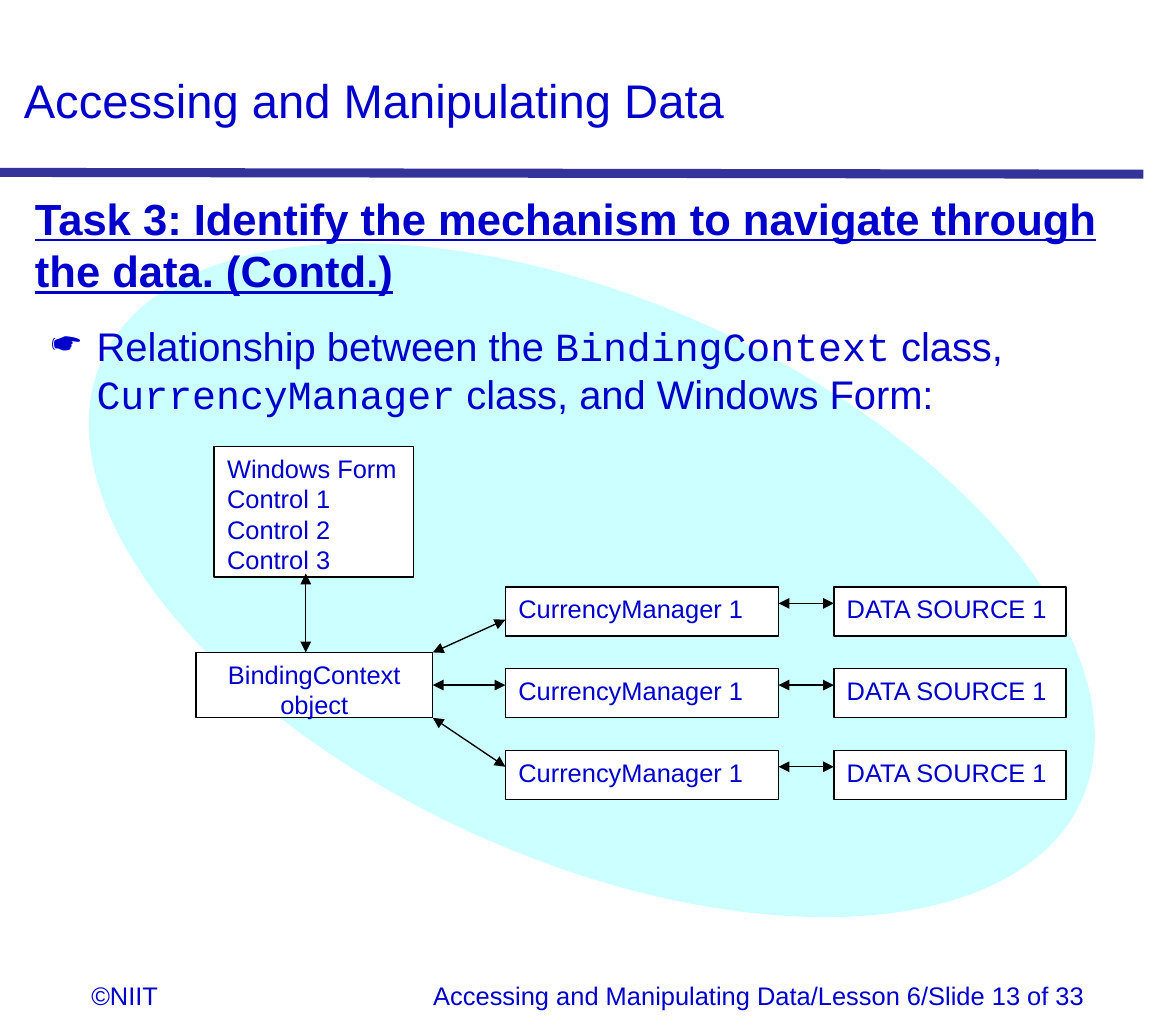
from dataclasses import dataclass

from lxml import etree
from pptx import Presentation
from pptx import util as u
from pptx.dml import color
from pptx.enum import shapes, text
from pptx.oxml import ns

INK = "0000CC"
BLACK = "000000"
LEFT = text.PP_ALIGN.LEFT
CENTER = text.PP_ALIGN.CENTER
RIGHT = text.PP_ALIGN.RIGHT


@dataclass(frozen=True)
class Frame:
    left: float
    top: float
    width: float
    height: float

    @property
    def right(self) -> float:
        return self.left + self.width

    @property
    def bottom(self) -> float:
        return self.top + self.height

    def lengths(self) -> list:
        return [u.Pt(value) for value in (self.left, self.top, self.width, self.height)]


@dataclass(frozen=True)
class Label:
    frame: Frame
    wording: str
    size: float
    align: text.PP_ALIGN = LEFT


@dataclass(frozen=True)
class Row:
    top: float
    manager_y: float
    binding_y: float


def paint(target, hex_colour: str) -> None:
    target.solid()
    target.fore_color.rgb = color.RGBColor.from_string(hex_colour)


def add_span(para, wording: str, size: float, **extra) -> None:
    span = para.add_run()
    span.text = wording
    formats = {"name": "Arial", "size": u.Pt(size)} | extra
    for name, value in formats.items():
        setattr(span.font, name, value)
    paint(span.font.fill, INK)


def prepare(frame) -> None:
    formats = {
        "word_wrap": True,
        "vertical_anchor": text.MSO_ANCHOR.TOP,
        "margin_left": u.Pt(7.2),
        "margin_right": u.Pt(7.2),
        "margin_top": u.Pt(3.6),
        "margin_bottom": u.Pt(3.6),
    }
    for name, value in formats.items():
        setattr(frame, name, value)


def add_label(page, label: Label) -> None:
    box = page.shapes.add_textbox(*label.frame.lengths())
    prepare(box.text_frame)
    para = box.text_frame.paragraphs[0]
    para.alignment = label.align
    add_span(para, label.wording, label.size)


def add_box(page, frame: Frame, lines: list[str], align: text.PP_ALIGN = LEFT):
    box = page.shapes.add_shape(shapes.MSO_SHAPE.RECTANGLE, *frame.lengths())
    box.shadow.inherit = False
    paint(box.fill, "FFFFFF")
    paint(box.line.fill, BLACK)
    box.line.width = u.Pt(0.75)
    prepare(box.text_frame)
    for index, line in enumerate(lines):
        para = box.text_frame.add_paragraph() if index else box.text_frame.paragraphs[0]
        para.alignment = align
        add_span(para, line, 14)
    return box


def add_line(page, start: tuple, end: tuple, hex_colour: str, width: float):
    points = [u.Pt(value) for value in (*start, *end)]
    line = page.shapes.add_connector(shapes.MSO_CONNECTOR.STRAIGHT, *points)
    paint(line.line.fill, hex_colour)
    line.line.width = u.Pt(width)
    etree.SubElement(line._element.spPr, ns.qn("a:effectLst"))
    return line


def add_arrow(page, start: tuple, end: tuple):
    arrow = add_line(page, start, end, BLACK, 0.75)
    outline = arrow._element.spPr.find(ns.qn("a:ln"))
    for tag in ("a:headEnd", "a:tailEnd"):
        etree.SubElement(outline, ns.qn(tag), type="triangle")
    return arrow


def add_bullet(para, mark: str) -> None:
    properties = para._p.get_or_add_pPr()
    properties.set("marL", str(u.Pt(34)))
    properties.set("indent", str(-u.Pt(25)))
    tint = etree.SubElement(properties, ns.qn("a:buClr"))
    etree.SubElement(tint, ns.qn("a:srgbClr"), val=INK)
    etree.SubElement(properties, ns.qn("a:buChar"), char=mark)


def add_background(page) -> None:
    frame = Frame(172, 23.8, 308.2, 591.8)
    ellipse = page.shapes.add_shape(shapes.MSO_SHAPE.OVAL, *frame.lengths())
    ellipse.shadow.inherit = False
    ellipse.rotation = 294.2
    paint(ellipse.fill, "CCFFFF")
    ellipse.line.fill.background()


def add_body(page) -> None:
    box = page.shapes.add_textbox(*Frame(12.2, 102.2, 624.2, 432).lengths())
    prepare(box.text_frame)
    task = "Task 3: Identify the mechanism to navigate through the data. (Contd.)"
    add_span(box.text_frame.paragraphs[0], task, 24, bold=True, underline=True)
    para = box.text_frame.add_paragraph()
    para.space_before = u.Pt(13.8)
    add_bullet(para, "☛")
    for wording, font in (
        ("Relationship between the ", "Arial"),
        ("BindingContext", "Courier New"),
        (" class, ", "Arial"),
        ("CurrencyManager", "Courier New"),
        (" class, and Windows Form:", "Arial"),
    ):
        add_span(para, wording, 22, name=font)


def add_diagram(page) -> None:
    form = Frame(118, 246, 110, 72)
    binding = Frame(108, 359.5, 130.5, 36)
    middle = binding.top + binding.height / 2
    controls = [f"Control {number}" for number in range(1, 4)]
    add_box(page, form, ["Windows Form", *controls])
    binding_box = add_box(page, binding, ["BindingContext object"], CENTER)
    add_arrow(page, (168.5, form.bottom - 2), (168.5, binding.top))

    first, pitch = 323.5, 45
    rows = [
        Row(first, first + 18, binding.top),
        Row(first + pitch, middle, middle),
        Row(first + 2 * pitch, first + 2 * pitch + 9, binding.bottom),
    ]
    for row in rows:
        manager = Frame(278.5, row.top, 150.5, 27)
        source = Frame(459.5, row.top, 128, 27)
        add_box(page, manager, ["CurrencyManager 1"])
        add_box(page, source, ["DATA SOURCE 1"])
        arrow = add_arrow(page, (manager.left, row.manager_y), (binding.right, row.binding_y))
        if row.binding_y == middle:
            arrow.end_connect(binding_box, 3)
        add_arrow(page, (source.left, row.top + 9), (manager.right, row.top + 9))


def main() -> None:
    deck = Presentation()
    deck.slide_width, deck.slide_height = u.Pt(648), u.Pt(568.08)
    page = deck.slides.add_slide(deck.slide_layouts[6])
    add_background(page)
    title = "Accessing and Manipulating Data"
    for label in (
        Label(Frame(6, 36, 624, 39), title, 26),
        Label(Frame(43.2, 536.4, 80.6, 24.5), "©NIIT", 14),
        Label(Frame(221.8, 536.4, 383, 24.5), f"{title}/Lesson 6/Slide 13 of 33", 14, RIGHT),
    ):
        add_label(page, label)
    add_line(page, (0, 95), (630, 96), "333399", 5)
    add_body(page)
    add_diagram(page)
    deck.save("out.pptx")


if __name__ == "__main__":
    main()
